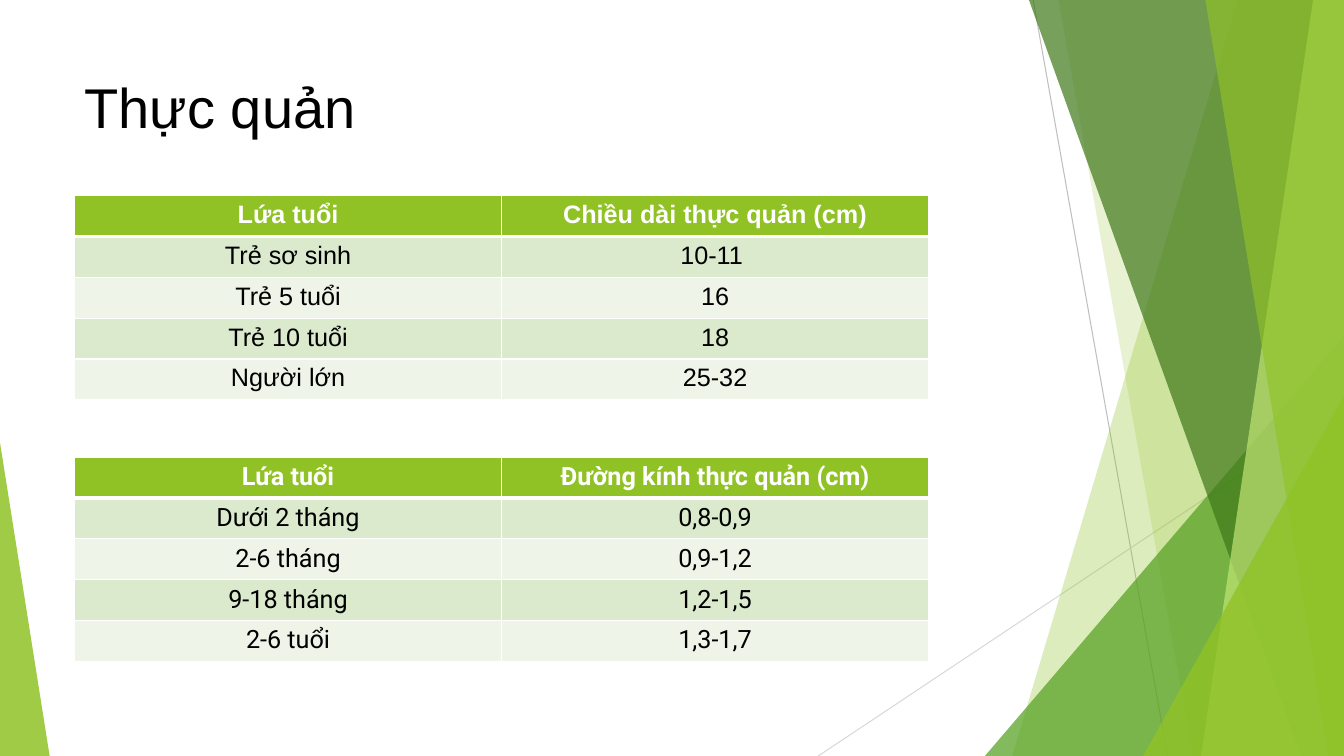
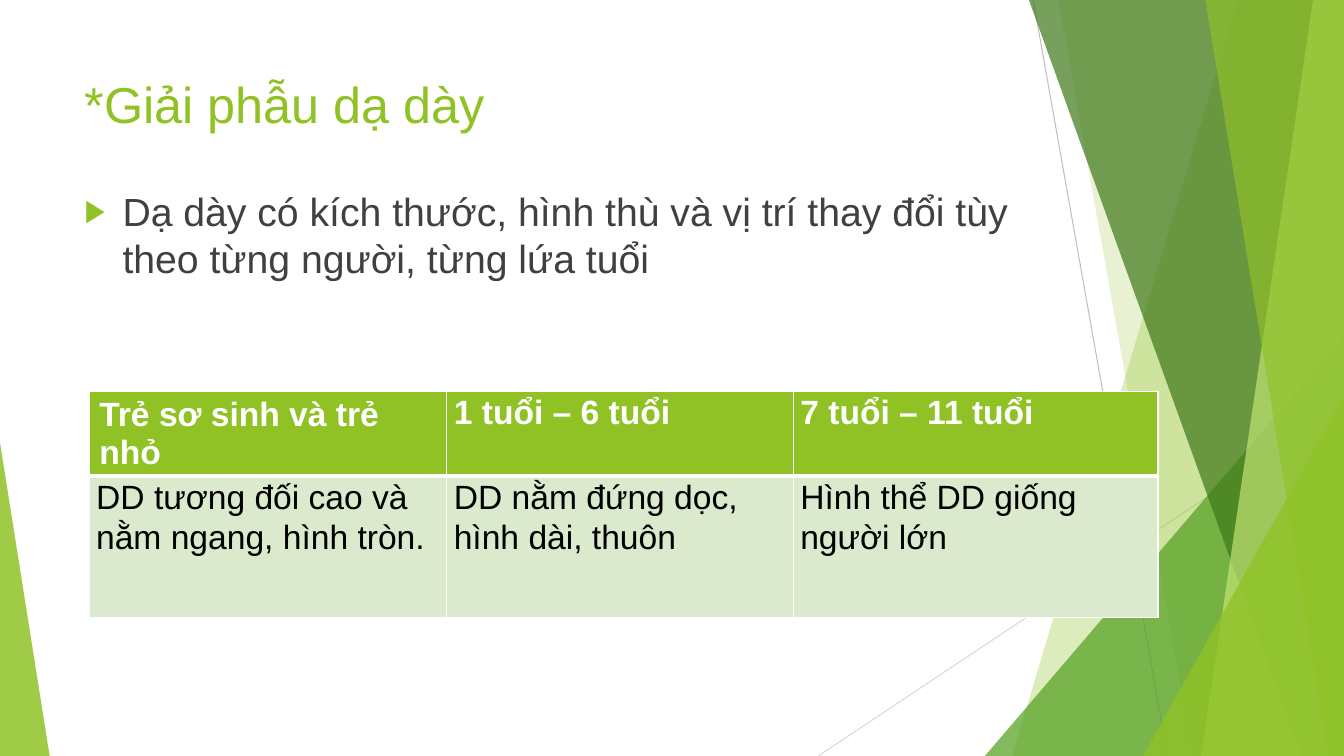
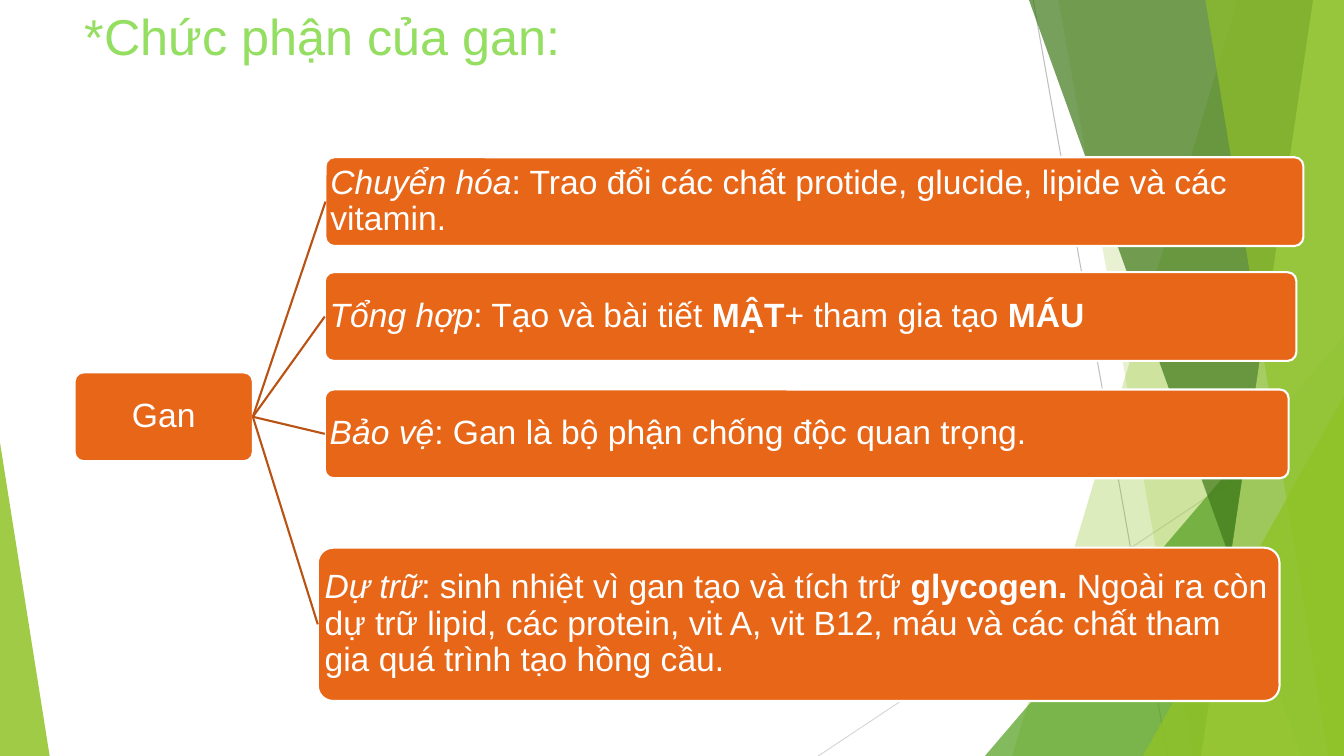
from lxml import etree
from pptx import Presentation
from pptx.dml.color import RGBColor
from pptx.enum.shapes import MSO_CONNECTOR, MSO_SHAPE
from pptx.enum.text import MSO_ANCHOR, MSO_AUTO_SIZE, PP_ALIGN
from pptx.oxml.ns import qn
from pptx.util import Pt

STRAIGHT = MSO_CONNECTOR.STRAIGHT
TRIANGLE, ROUNDED = MSO_SHAPE.ISOSCELES_TRIANGLE, MSO_SHAPE.ROUNDED_RECTANGLE
TOP, MIDDLE = MSO_ANCHOR.TOP, MSO_ANCHOR.MIDDLE
LEFT, CENTER = PP_ALIGN.LEFT, PP_ALIGN.CENTER
NO_AUTOFIT = MSO_AUTO_SIZE.NONE
LAYOUT_TITLE_BODY, LAYOUT_TITLE = 1, 5
SITE_LEFT, SITE_RIGHT = 1, 3

WIDTH, HEIGHT = 960, 540
MARGIN = 53.3
CONTENT_WIDTH = 677
GREEN, LEAF, FOREST, LIME, MINT = "90C226", "54A021", "3F7819", "C0E474", "94DE61"
BAND_DARK, BAND_LIGHT = "DBE9CD", "EEF4E8"
ORANGE, RUST = "E76618", "B95213"
BLACK, WHITE, GREY = "000000", "FFFFFF", "404040"
SANS = "Arial"


def rgb(color):
    return RGBColor.from_string(color)


def style_font(font, size, color, name=SANS, bold=None):
    font.size, font.name, font.bold = Pt(size), name, bold
    font.color.rgb = rgb(color)


def place(shape, left, top, width, height):
    shape.left, shape.top = Pt(left), Pt(top)
    shape.width, shape.height = Pt(width), Pt(height)


def set_margins(target, side, end):
    target.margin_left = target.margin_right = Pt(side)
    target.margin_top = target.margin_bottom = Pt(end)


def paint(shape, color, opacity):
    shape.shadow.inherit = False
    shape.fill.solid()
    shape.fill.fore_color.rgb = rgb(color)
    shape.line.fill.background()
    fill_color = shape.element.find(".//" + qn("a:srgbClr"))
    etree.SubElement(fill_color, qn("a:alpha"), val=str(opacity * 1000))


def add_line(shapes, start, end, color, weight):
    line = shapes.add_connector(STRAIGHT, *(Pt(value) for value in start + end))
    line.line.color.rgb = rgb(color)
    line.line.width = Pt(weight)
    etree.SubElement(line.element.spPr, qn("a:effectLst"))
    return line


def add_blade(shapes, top_x, bottom_x, color, opacity):
    """Full-height panel with a slanted left side, reaching the right edge."""
    builder = shapes.build_freeform(Pt(top_x), 0)
    corners = [(WIDTH, 0), (WIDTH, HEIGHT), (bottom_x, HEIGHT)]
    builder.add_line_segments([(Pt(x), Pt(y)) for x, y in corners])
    paint(builder.convert_to_shape(), color, opacity)


def add_corner(shapes, left, top, width, apex, color, opacity):
    """Right triangle standing on the bottom edge; apex 0 is left, 1 is right."""
    corner = shapes.add_shape(TRIANGLE, Pt(left), Pt(top), Pt(width), Pt(HEIGHT - top))
    corner.adjustments[0] = apex
    paint(corner, color, opacity)


def decorate_master(deck, page):
    """Draw the facets in a group on page, then move it behind the master's text."""
    group = page.shapes.add_group_shape()
    shapes = group.shapes
    add_line(shapes, (738, 0), (834, HEIGHT), "BFBFBF", 0.75)
    add_line(shapes, (WIDTH, 290), (584.5, HEIGHT), "D9D9D9", 0.75)
    add_blade(shapes, 884, 723, GREEN, 30)
    add_blade(shapes, 756, 852, GREEN, 20)
    add_corner(shapes, 703.5, 240, WIDTH - 703.5, 1, LEAF, 72)
    add_blade(shapes, 735, 929.5, FOREST, 70)
    add_blade(shapes, 938, 858, LIME, 70)
    add_blade(shapes, 861, 949, GREEN, 65)
    add_corner(shapes, 816.5, 283, WIDTH - 816.5, 1, GREEN, 80)
    add_corner(shapes, 0, 316, 35.5, 0, GREEN, 85)
    for number, properties in enumerate(group.element.iter(qn("p:cNvPr")), 100):
        properties.set("id", str(number))
    deck.slide_master.shapes.element.insert(2, group.element)


def fill_placeholder(box, text, size, color):
    frame = box.text_frame
    frame.text = text
    frame.word_wrap = True
    frame.auto_size = NO_AUTOFIT
    frame.vertical_anchor = TOP
    para = frame.paragraphs[0]
    para.alignment = LEFT
    style_font(para.font, size, color)
    return para


def add_page(deck, layout, title, size, color, top=48.3, height=103.7):
    page = deck.slides.add_slide(deck.slide_layouts[layout])
    place(page.shapes.title, MARGIN, top, CONTENT_WIDTH, height)
    fill_placeholder(page.shapes.title, title, size, color)
    return page


def add_bullet(para, indent, symbol, color, percent):
    properties = para._p.get_or_add_pPr()
    properties.set("marL", str(Pt(indent)))
    properties.set("indent", str(Pt(-indent)))
    bullet_color = etree.Element(qn("a:buClr"))
    etree.SubElement(bullet_color, qn("a:srgbClr"), val=color)
    bullet = [
        bullet_color,
        etree.Element(qn("a:buSzPct"), val=str(percent * 1000)),
        etree.Element(qn("a:buFont"), typeface=SANS),
        etree.Element(qn("a:buChar"), char=symbol),
    ]
    following = properties.find(qn("a:defRPr"))
    for part in bullet:
        if following is None:
            properties.append(part)
        else:
            following.addprevious(part)


def set_borders(cell, top, bottom):
    """White borders: 1 pt at the sides, given weights above and below."""
    properties = cell._tc.get_or_add_tcPr()
    weights = {"a:lnL": 1, "a:lnR": 1, "a:lnT": top, "a:lnB": bottom}
    for position, (tag, weight) in enumerate(weights.items()):
        border = etree.Element(qn(tag), w=str(Pt(weight)))
        fill = etree.SubElement(border, qn("a:solidFill"))
        etree.SubElement(fill, qn("a:srgbClr"), val=WHITE)
        properties.insert(position, border)


def add_table(page, left, top, widths, heights, rows, size, font=SANS, align=LEFT):
    frame = page.shapes.add_table(len(rows), len(widths), Pt(left), Pt(top),
                                  Pt(sum(widths)), Pt(sum(heights)))
    table = frame.table
    for column, width in zip(table.columns, widths):
        column.width = Pt(width)
    for index, (row, height, texts) in enumerate(zip(table.rows, heights, rows)):
        row.height = Pt(height)
        header = index == 0
        color = GREEN if header else BAND_DARK if index % 2 else BAND_LIGHT
        for cell, text in zip(row.cells, texts):
            cell.text = text
            cell.fill.solid()
            cell.fill.fore_color.rgb = rgb(color)
            set_borders(cell, 3 if index == 1 else 1, 3 if header else 1)
            para = cell.text_frame.paragraphs[0]
            para.alignment = align
            style_font(para.font, size, WHITE if header else BLACK, font, header)
    return table


def add_node(page, left, top, width, height, spans, align=LEFT):
    """Orange rounded box; spans are (text, style) with style "", "i" or "b"."""
    node = page.shapes.add_shape(ROUNDED, Pt(left), Pt(top), Pt(width), Pt(height))
    node.adjustments[0] = 0.1
    node.shadow.inherit = False
    node.fill.solid()
    node.fill.fore_color.rgb = rgb(ORANGE)
    node.line.color.rgb = rgb(WHITE)
    node.line.width = Pt(1.5)
    frame = node.text_frame
    frame.word_wrap = True
    frame.vertical_anchor = MIDDLE
    set_margins(frame, 1.7, 1.7)
    para = frame.paragraphs[0]
    para.alignment = align
    para.line_spacing = 0.9
    style_font(para.font, 24, WHITE)
    for text, style in spans:
        span = para.add_run()
        span.text = text
        span.font.color.rgb = rgb(WHITE)
        span.font.italic = style == "i"
        span.font.bold = style == "b"
    return node


def link(page, parent, child):
    line = add_line(page.shapes, (0, 0), (0, 0), RUST, 1.5)
    line.begin_connect(parent, SITE_RIGHT)
    line.end_connect(child, SITE_LEFT)


def build_esophagus(deck):
    page = add_page(deck, LAYOUT_TITLE, "Thực quản", 40, BLACK)
    decorate_master(deck, page)
    lengths = [
        ("Lứa tuổi", "Chiều dài thực quản (cm)"),
        ("Trẻ sơ sinh", "10-11 "),
        ("Trẻ 5 tuổi", "16"),
        ("Trẻ 10 tuổi", "18"),
        ("Người lớn", "25-32"),
    ]
    diameters = [
        ("Lứa tuổi", "Đường kính thực quản (cm)"),
        ("Dưới 2 tháng", "0,8-0,9"),
        ("2-6 tháng", "0,9-1,2"),
        ("9-18 tháng", "1,2-1,5"),
        ("2-6 tuổi", "1,3-1,7"),
    ]
    for top, rows, font in [(139.7, lengths, SANS), (326.5, diameters, "Roboto")]:
        add_table(page, MARGIN, top, [305] * 2, [29.2] * 5, rows, 18, font, CENTER)


def build_stomach(deck):
    page = add_page(deck, LAYOUT_TITLE_BODY, "*Giải phẫu dạ dày", 36, GREEN)
    body = page.placeholders[1]
    place(body, MARGIN, 130.3, CONTENT_WIDTH, 345.6)
    para = fill_placeholder(
        body,
        "Dạ dày có kích thước, hình thù và vị trí thay đổi tùy theo từng người, từng lứa tuổi",
        28, GREY)
    para.space_before = Pt(10)
    add_bullet(para, 27, "▶", GREEN, 80)
    rows = [
        ("Trẻ sơ sinh và trẻ nhỏ", "1 tuổi – 6 tuổi", "7 tuổi – 11 tuổi"),
        ("DD tương đối cao và nằm ngang, hình tròn.", "DD nằm đứng dọc, hình dài, thuôn",
         "Hình thể DD giống người lớn"),
    ]
    table = add_table(page, 63.7, 279.5, [255.5, 247.5, 260.5], [56, 101], rows, 24)
    for cell in list(table.iter_cells())[1:]:
        set_margins(cell, 5, 0)
        cell.text_frame.paragraphs[0].line_spacing = 1.07


def build_liver(deck):
    page = add_page(deck, LAYOUT_TITLE, "*Chức phận của gan:", 36, MINT, 0, 95)
    root = add_node(page, MARGIN, 266, 127.3, 63.4, [("Gan", "")], CENTER)
    functions = [
        (232.5, 112.3, 698.5, 63.4, [
            ("Chuyển hóa", "i"),
            (": Trao đổi các chất protide, glucide, lipide và các vitamin.", "")]),
        (232, 194.4, 694, 63.4, [
            ("Tổng hợp", "i"), (": Tạo và bài tiết ", ""), ("MẬT", "b"),
            ("+ tham gia tạo ", ""), ("MÁU", "b")]),
        (232, 278.2, 688.5, 63.4, [
            ("Bảo vệ", "i"), (": Gan là bộ phận chống độc quan trọng.", "")]),
        (227, 391.2, 687, 109.5, [
            ("Dự trữ", "i"), (": sinh nhiệt vì gan tạo và tích trữ ", ""),
            ("glycogen. ", "b"),
            ("Ngoài ra còn dự trữ lipid, các protein, vit A, vit B12, máu và các chất "
             "tham gia quá trình tạo hồng cầu.", "")]),
    ]
    for left, top, width, height, spans in functions:
        link(page, root, add_node(page, left, top, width, height, spans))


def main():
    deck = Presentation()
    deck.slide_width, deck.slide_height = Pt(WIDTH), Pt(HEIGHT)
    build_esophagus(deck)
    build_stomach(deck)
    build_liver(deck)
    deck.save("out.pptx")


if __name__ == "__main__":
    main()
